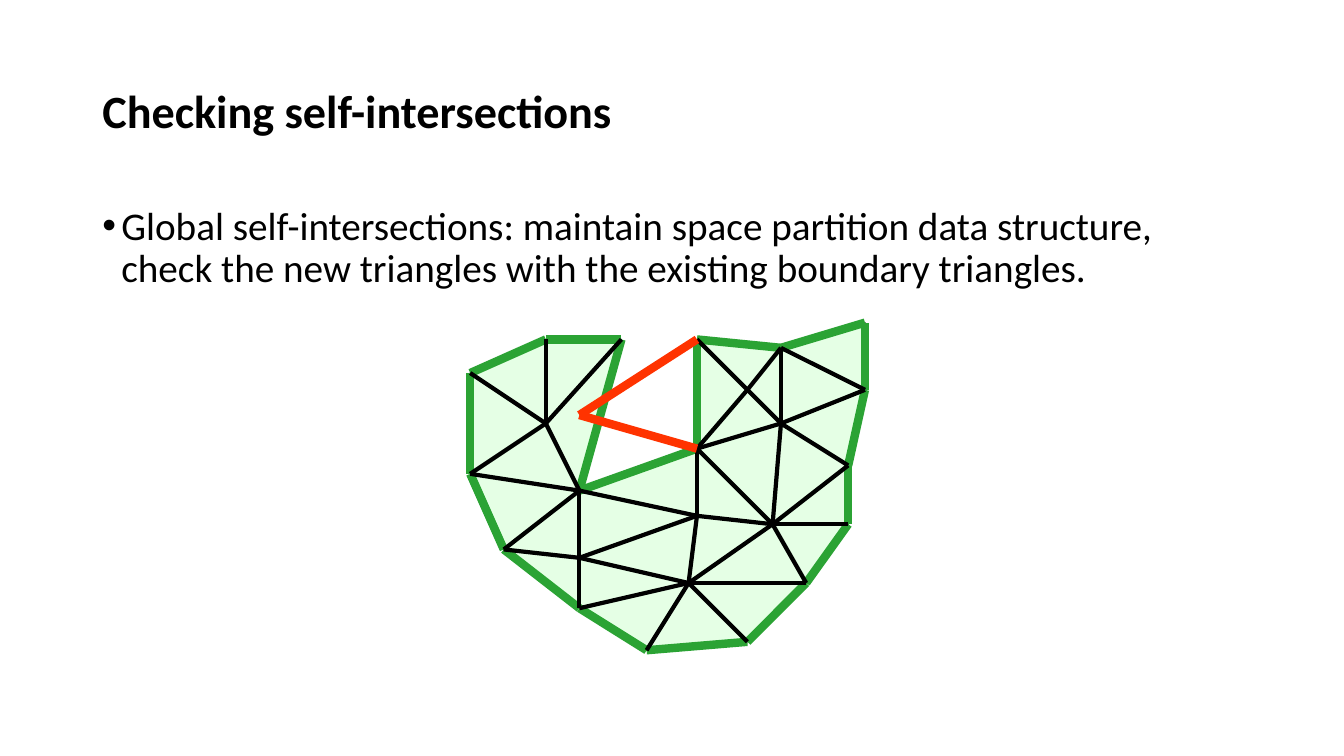
from collections import Counter
from dataclasses import dataclass

import pptx
import pptx.dml.color
import pptx.enum.shapes
import pptx.enum.text
import pptx.oxml
import pptx.oxml.ns
import pptx.util

Cm, Pt = pptx.util.Cm, pptx.util.Pt
COLORS = {"text": "000000", "face": "E5FFE5", "inner": "000000",
          "boundary": "2BA334", "new": "FF3300"}

# The mesh lies on a grid of twelfths of an inch
STEP = 2.54 / 12
LEFT, TOP = 11.85, 8.13
VERTICES = {
    "a": (0, 6), "b": (9, 2), "c": (18, 2), "d": (9, 12), "e": (0, 18),
    "f": (13, 20), "g": (4, 27), "h": (13, 28), "i": (13, 34), "j": (27, 23),
    "k": (26, 31), "l": (21, 39), "m": (33, 38), "n": (40, 31), "o": (36, 24),
    "p": (45, 24), "q": (45, 17), "r": (37, 12), "s": (27, 15), "t": (47, 8),
    "u": (37, 3), "v": (47, 0), "w": (33, 8), "x": (27, 2), "y": (13, 11),
}
TRIANGLES = ("fhj jhk hik kil klm kmn kon jko onp opq ors sjo sjf roq rqt "
             "rtu uvt urw swr xws xuw bdc adb aed dfe dcf feg fgh gih").split()


@dataclass
class Edge:
    ends: str
    kind: str
    width: float


def rgb(name: str) -> pptx.dml.color.RGBColor:
    return pptx.dml.color.RGBColor.from_string(COLORS[name])


def point(vertex: str) -> tuple[int, int]:
    x, y = VERTICES[vertex]
    return Cm(LEFT + x * STEP), Cm(TOP + y * STEP)


def mesh_edges() -> list[Edge]:
    """An edge of a single triangle is boundary, a shared one is inner."""
    uses = Counter("".join(sorted(pair)) for a, b, c in TRIANGLES
                   for pair in (a + b, b + c, c + a))
    boundary = [Edge(ends, "boundary", 6) for ends, n in uses.items() if n == 1]
    inner = [Edge(ends, "inner", 3) for ends, n in uses.items() if n == 2]
    return boundary + inner


def add_triangle(s, corners: str) -> None:
    start, *rest = [point(v) for v in corners]
    builder = s.shapes.build_freeform(*start)
    builder.add_line_segments(rest, close=True)
    sp = builder.convert_to_shape()
    sp.shadow.inherit = False
    sp.fill.solid()
    sp.fill.fore_color.rgb = rgb("face")
    sp.line.color.rgb = rgb("inner")
    sp.line.width = Pt(0.75)


def add_edge(s, edge: Edge) -> None:
    start, end = (point(v) for v in edge.ends)
    line = s.shapes.add_connector(
        pptx.enum.shapes.MSO_CONNECTOR.STRAIGHT, *start, *end)
    line.line.color.rgb = rgb(edge.kind)
    line.line.width = Pt(edge.width)
    pptx.oxml.ns.qn("a:effectLst")
    line._element.spPr.append(pptx.oxml.parse_xml(
        f'<a:effectLst {pptx.oxml.ns.nsdecls("a")}/>'))


def add_text(s, text: str, *, top: float, height: float, size: float,
             bold: bool = False, bullet: bool = False,
             anchor=pptx.enum.text.MSO_ANCHOR.TOP) -> None:
    tf = s.shapes.add_textbox(Cm(2.33), Cm(top), Cm(29.21), Cm(height)).text_frame
    tf.word_wrap = True
    tf.vertical_anchor = anchor
    p = tf.paragraphs[0]
    p.line_spacing = 0.9
    if bullet:
        pPr = p._p.get_or_add_pPr()
        pPr.set("marL", str(Cm(0.48)))
        pPr.set("indent", str(-Cm(0.48)))
        ns = pptx.oxml.ns.nsdecls("a")
        for xml in (f'<a:buFont {ns} typeface="Arial"/>',
                    f'<a:buChar {ns} char="•"/>'):
            pPr.append(pptx.oxml.parse_xml(xml))
    r = p.add_run()
    r.text = text
    r.font.name = "Calibri"
    r.font.size = Pt(size)
    r.font.bold = bold
    r.font.color.rgb = rgb("text")


def main() -> None:
    prs = pptx.Presentation()
    prs.slide_width, prs.slide_height = Cm(33.87), Cm(19.05)
    s = prs.slides.add_slide(prs.slide_layouts[6])

    # Mesh faces
    for corners in TRIANGLES:
        add_triangle(s, corners)

    # Title and body
    add_text(s, "Checking self-intersections", top=1.01, height=3.68, size=33,
             bold=True, anchor=pptx.enum.text.MSO_ANCHOR.MIDDLE)
    add_text(s, "Global self-intersections: maintain space partition data "
             "structure, check the new triangles with the existing boundary "
             "triangles.", top=5.07, height=12.09, size=28, bullet=True)

    # Mesh edges, then the new triangle that crosses the boundary
    for edge in mesh_edges() + [Edge("xy", "new", 6), Edge("sy", "new", 6)]:
        add_edge(s, edge)

    prs.save("out.pptx")


if __name__ == "__main__":
    main()
